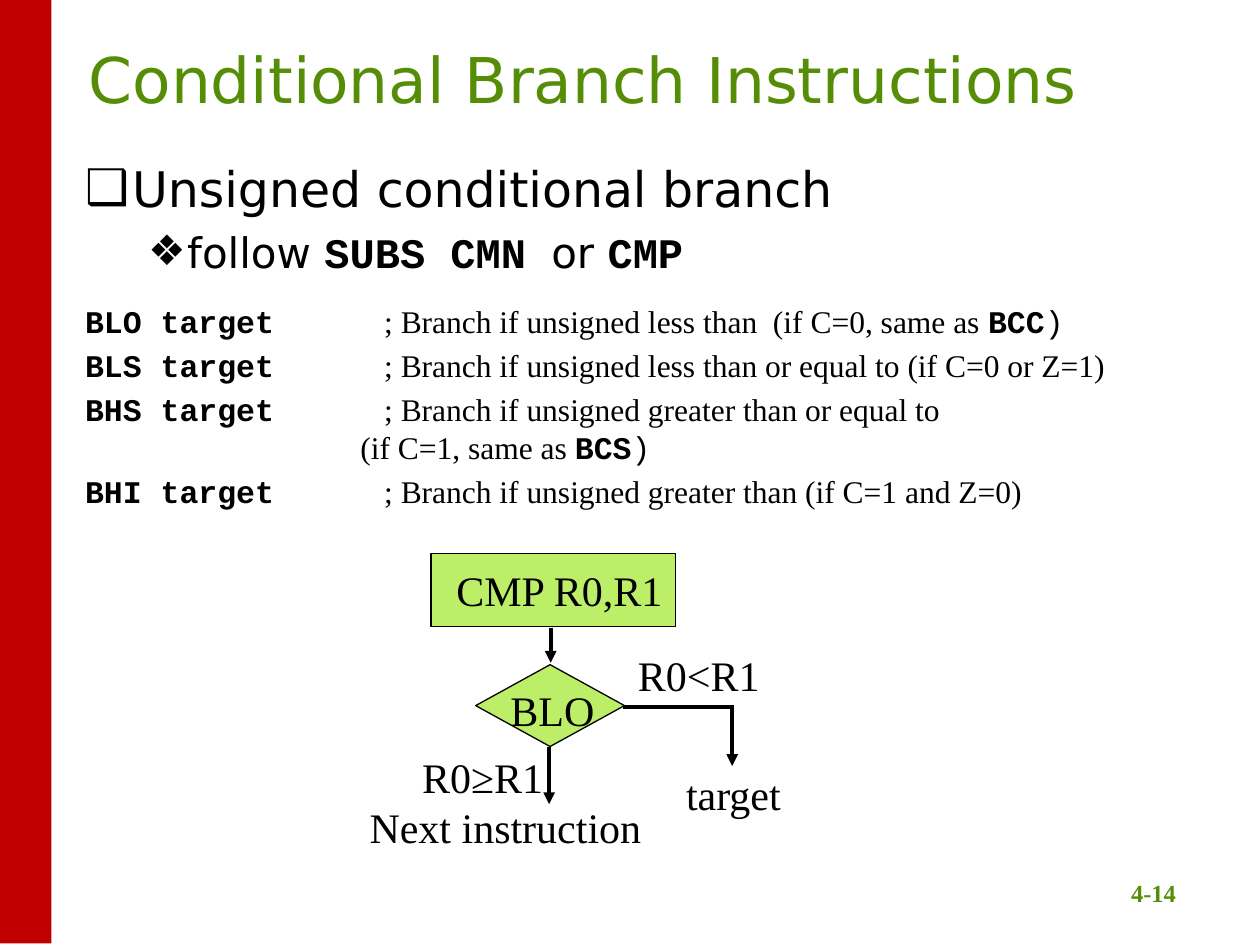
from dataclasses import dataclass
from typing import Optional

from lxml import etree
from pptx import Presentation
from pptx import util as u
from pptx.dml.color import RGBColor
from pptx.enum import shapes, text
from pptx.oxml.ns import qn

COLORS = {"black": "000000", "green": "558D06", "lime": "BCEE68", "red": "C00000"}
SANS, SERIF, MONO = "DejaVu Sans", "Times New Roman", "Courier New"
TAB_STEP = 2.54


@dataclass
class Node:
    kind: shapes.MSO_SHAPE
    box: tuple
    fill: str
    outline: Optional[str] = None


@dataclass
class Label:
    words: str
    left: float
    top: float
    width: float = 5.23


@dataclass
class Line:
    start: tuple
    end: tuple
    arrow: bool = True


@dataclass
class Instruction:
    name: str
    meaning: str
    same_as: str = ""
    second_line: str = ""


def color(name: str) -> RGBColor:
    return RGBColor.from_string(COLORS[name])


def cm(values: tuple) -> list:
    return [u.Cm(value) for value in values]


def add_text(paragraph, words: str, *, font: str = SERIF, size: float = 24,
             ink: str = "black", bold: bool = False) -> None:
    run = paragraph.add_run()
    run.text = words
    run.font.name, run.font.size, run.font.bold = font, u.Pt(size), bold
    run.font.color.rgb = color(ink)


def format_paragraph(paragraph, *, left: float, hanging: float, before: float = 0,
                     bullet: str = "") -> None:
    paragraph.space_before = u.Pt(before)
    props = paragraph._p.get_or_add_pPr()
    props.set("marL", str(u.Cm(left)))
    props.set("indent", str(-u.Cm(hanging)))
    props.set("defTabSz", str(u.Cm(TAB_STEP)))
    if bullet:
        bullet_color = etree.SubElement(props, qn("a:buClr"))
        etree.SubElement(bullet_color, qn("a:srgbClr"), val=COLORS["black"])
        etree.SubElement(props, qn("a:buChar"), char=bullet)
    else:
        etree.SubElement(props, qn("a:buNone"))


def draw_node(slide, node: Node) -> None:
    shape = slide.shapes.add_shape(node.kind, *cm(node.box))
    shape.shadow.inherit = False
    shape.fill.solid()
    shape.fill.fore_color.rgb = color(node.fill)
    if node.outline:
        shape.line.color.rgb = color(node.outline)
        shape.line.width = u.Pt(0.75)
    else:
        shape.line.fill.background()


def draw_label(slide, label: Label) -> None:
    box = slide.shapes.add_textbox(*cm((label.left, label.top, label.width, 1.27)))
    box.text_frame.word_wrap = True
    add_text(box.text_frame.paragraphs[0], label.words)


def draw_line(slide, line: Line) -> None:
    connector = slide.shapes.add_connector(
        shapes.MSO_CONNECTOR.STRAIGHT, *cm(line.start + line.end))
    connector.line.color.rgb = color("black")
    connector.line.width = u.Pt(2.25)
    if line.arrow:
        etree.SubElement(connector.line._get_or_add_ln(), qn("a:tailEnd"), type="triangle")
    etree.SubElement(connector._element.spPr, qn("a:effectLst"))


def place(shape, box: tuple) -> None:
    shape.left, shape.top, shape.width, shape.height = cm(box)


INSTRUCTIONS = [
    Instruction("BLO", "; Branch if unsigned less than  (if C=0, same as ", "BCC"),
    Instruction("BLS", "; Branch if unsigned less than or equal to (if C=0 or Z=1)"),
    Instruction("BHS", "; Branch if unsigned greater than or equal to", "BCS",
                "(if C=1, same as "),
    Instruction("BHI", "; Branch if unsigned greater than (if C=1 and Z=0)"),
]

# Flowchart, from back to front
FLOWCHART = [
    Node(shapes.MSO_SHAPE.RECTANGLE, (8.69, 11.16, 4.93, 1.47), "lime", "black"),
    Label("CMP R0,R1", 8.95, 11.25),
    Line((11.1, 12.65), (11.1, 13.36)),
    Node(shapes.MSO_SHAPE.FLOWCHART_DECISION, (9.59, 13.4, 3, 1.65), "lime", "black"),
    Label("BLO", 10.04, 13.67),
    Line((12.55, 14.25), (14.73, 14.25), arrow=False),
    Line((14.76, 14.22), (14.76, 15.44)),
    Label("R0<R1", 12.61, 12.97),
    Line((11.07, 15.06), (11.07, 16.21)),
    Label("target", 13.58, 15.37, 2.87),
    Label("Next instruction", 7.2, 16.03, 6.65),
    Label("R0≥R1", 8.26, 15.02),
]


def fill_body(frame) -> None:
    frame.auto_size = text.MSO_AUTO_SIZE.NONE
    topic = frame.paragraphs[0]
    format_paragraph(topic, left=0.95, hanging=0.95, bullet="❑")
    add_text(topic, "Unsigned conditional branch", font=SANS, size=28)

    usage = frame.add_paragraph()
    usage.level = 1
    format_paragraph(usage, left=2.06, hanging=0.79, before=5, bullet="❖")
    for words, is_code in (("follow ", False), ("SUBS CMN ", True),
                           ("or ", False), ("CMP", True)):
        add_text(usage, words, font=MONO if is_code else SANS, bold=is_code)

    for index, instruction in enumerate(INSTRUCTIONS):
        entry = frame.add_paragraph()
        format_paragraph(entry, left=0.95, hanging=0.95, before=3.6 if index else 14.5)
        add_text(entry, f"{instruction.name} target\t", font=MONO, size=18, bold=True)
        add_text(entry, instruction.meaning, size=18)
        if instruction.second_line:
            entry = frame.add_paragraph()
            format_paragraph(entry, left=5.55, hanging=0)
            add_text(entry, instruction.second_line, size=18)
        if instruction.same_as:
            add_text(entry, instruction.same_as, font=MONO, size=18, bold=True)
            add_text(entry, ")", font=MONO, size=18)


def main() -> None:
    deck = Presentation()
    deck.slide_width, deck.slide_height = u.Cm(25.4), u.Cm(19.05)
    slide = deck.slides.add_slide(deck.slide_layouts[1])

    # Side band and page number
    draw_node(slide, Node(shapes.MSO_SHAPE.RECTANGLE, (-0.03, -0.03, 1.07, 19.05), "red"))
    page = slide.shapes.add_textbox(*cm((21.77, 17.25, 2.97, 1.17))).text_frame
    page.word_wrap = True
    page.vertical_anchor = text.MSO_ANCHOR.BOTTOM
    page.paragraphs[0].alignment = text.PP_ALIGN.CENTER
    add_text(page.paragraphs[0], "4-14", size=14, ink="green", bold=True)

    # Title and list
    title, body = slide.shapes.title, slide.placeholders[1]
    place(title, (1.06, 0.63, 21.39, 1.91))
    title.text_frame.auto_size = text.MSO_AUTO_SIZE.NONE
    title.text_frame.paragraphs[0].alignment = text.PP_ALIGN.CENTER
    add_text(title.text_frame.paragraphs[0], "Conditional Branch Instructions",
             font=SANS, size=36, ink="green")
    place(body, (1.46, 3.07, 22.02, 13.64))
    fill_body(body.text_frame)

    # Flowchart
    draw = {Node: draw_node, Label: draw_label, Line: draw_line}
    for part in FLOWCHART:
        draw[type(part)](slide, part)

    deck.save("out.pptx")


if __name__ == "__main__":
    main()
